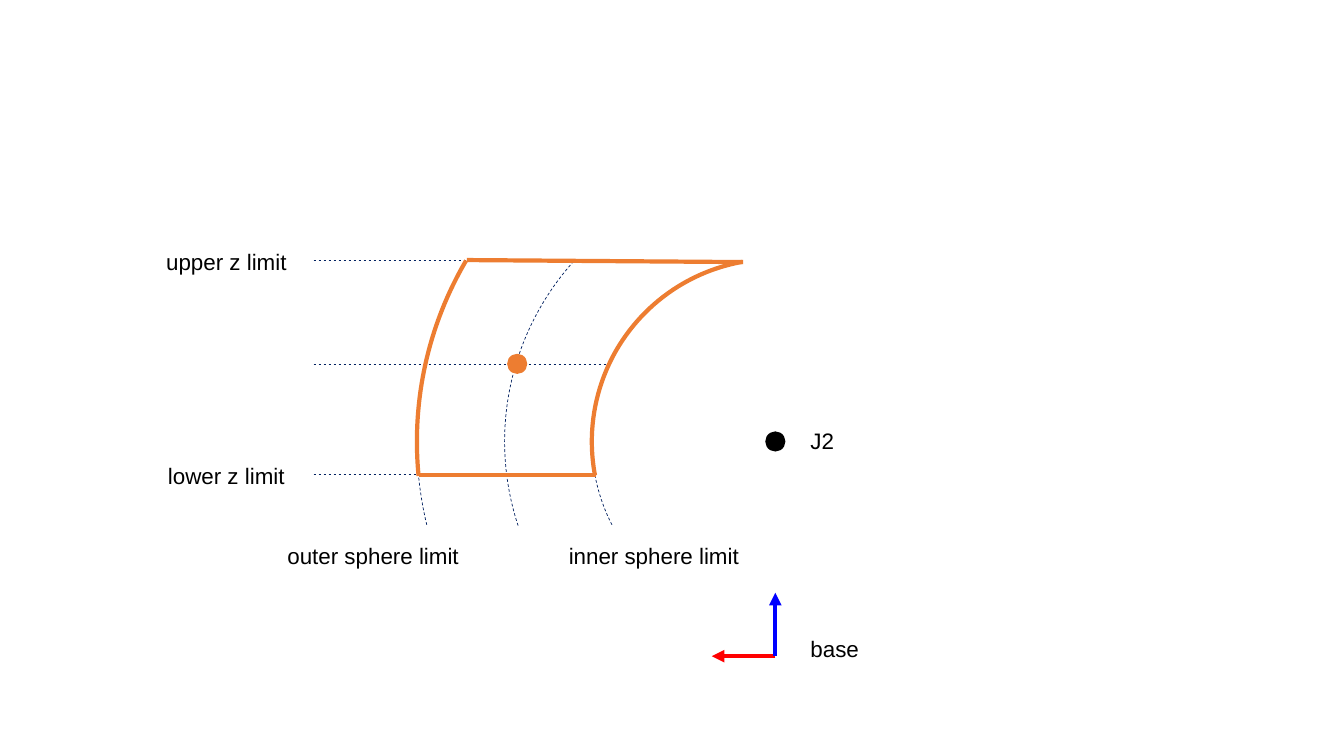
from lxml import etree
from pptx import Presentation
from pptx.dml.color import RGBColor
from pptx.enum.dml import MSO_LINE
from pptx.enum.shapes import MSO_CONNECTOR, MSO_SHAPE
from pptx.enum.text import MSO_ANCHOR, MSO_AUTO_SIZE, PP_ALIGN
from pptx.oxml.ns import qn
from pptx.util import Inches, Pt

ARC, OVAL = MSO_SHAPE.ARC, MSO_SHAPE.OVAL
STRAIGHT = MSO_CONNECTOR.STRAIGHT
DASH = MSO_LINE.DASH
MIDDLE = MSO_ANCHOR.MIDDLE
GROW = MSO_AUTO_SIZE.SHAPE_TO_FIT_TEXT
LEFT, CENTER = PP_ALIGN.LEFT, PP_ALIGN.CENTER

COLORS = {
    "guide": "002060",
    "region": "ED7D31",
    "black": "000000",
    "x_axis": "FF0000",
    "z_axis": "0000FF",
}
FONT = "Arial"
GUIDE_WIDTH, BOLD_WIDTH = 0.5, 3

JOINT = (7.68, 4.38)
INNER, MIDDLE_SPHERE, OUTER = 3.62, 5.35, 7.09  # sphere diameters
UPPER_Z, MIDDLE_Z, LOWER_Z = 2.58, 3.61, 4.71
GUIDE_LEFT = 3.11
BASE = (7.69, 6.51)
AXIS_LENGTH = 0.63
DOT_SIZE = 0.2
LABEL_HEIGHT = 0.37


def color(name):
    return RGBColor.from_string(COLORS[name])


def style_line(line, color_name):
    line.color.rgb = color(color_name)
    if color_name == "guide":
        line.width = Pt(GUIDE_WIDTH)
        line.dash_style = DASH
    else:
        line.width = Pt(BOLD_WIDTH)


def add_round_shape(slide, kind, center, diameter):
    x, y = center
    shape = slide.shapes.add_shape(
        kind, Inches(x - diameter / 2), Inches(y - diameter / 2),
        Inches(diameter), Inches(diameter))
    shape.shadow.inherit = False
    return shape


def add_arc(slide, diameter, start, end, color_name):
    """Draw part of a sphere around the joint, with angles in degrees."""
    arc = add_round_shape(slide, ARC, JOINT, diameter)
    arc.fill.background()
    for index, angle in enumerate((start, end)):
        arc.adjustments[index] = angle * 0.6  # 60000 units per degree, over 100000
    style_line(arc.line, color_name)


def add_dot(slide, center, color_name):
    dot = add_round_shape(slide, OVAL, center, DOT_SIZE)
    dot.fill.solid()
    dot.fill.fore_color.rgb = color(color_name)
    dot.line.fill.background()


def add_line(slide, start, end, color_name):
    line = slide.shapes.add_connector(
        STRAIGHT, *(Inches(value) for value in (*start, *end)))
    style_line(line.line, color_name)
    etree.SubElement(line._element.spPr, qn("a:effectLst"))
    return line


def add_axis(slide, end, color_name):
    axis = add_line(slide, BASE, end, color_name)
    etree.SubElement(axis.line._get_or_add_ln(), qn("a:tailEnd"), type="triangle")


def add_label(slide, text, left, top, width, alignment):
    box = slide.shapes.add_textbox(
        Inches(left), Inches(top), Inches(width), Inches(LABEL_HEIGHT))
    frame = box.text_frame
    frame.word_wrap = False
    frame.auto_size = GROW
    frame.vertical_anchor = MIDDLE
    paragraph = frame.paragraphs[0]
    paragraph.alignment = alignment
    run = paragraph.add_run()
    run.text = text
    run.font.name = FONT
    run.font.size = Pt(16)
    run.font.color.rgb = color("black")


def main():
    presentation = Presentation()
    presentation.slide_width = Inches(13.33)
    presentation.slide_height = Inches(7.5)
    slide = presentation.slides.add_slide(presentation.slide_layouts[6])

    add_arc(slide, INNER, 152.84, 196.95, "guide")
    add_arc(slide, OUTER, 166.51, 192.04, "guide")
    add_arc(slide, MIDDLE_SPHERE, 161.83, 222.51, "guide")
    for z, right in ((MIDDLE_Z, 6.05), (LOWER_Z, 4.78), (UPPER_Z, 4.78)):
        add_line(slide, (GUIDE_LEFT, z), (right, z), "guide")
    add_dot(slide, (7.69, 4.38), "black")

    add_arc(slide, INNER, 169.31, 259.94, "region")
    add_arc(slide, OUTER, 174.46, 210.42, "region")
    add_line(slide, (4.63, UPPER_Z), (7.37, 2.6), "region")
    add_line(slide, (4.16, LOWER_Z), (5.91, LOWER_Z), "region")
    add_dot(slide, (5.13, MIDDLE_Z), "region")

    base_x, base_y = BASE
    add_axis(slide, (base_x - AXIS_LENGTH, base_y), "x_axis")
    add_axis(slide, (base_x, base_y - AXIS_LENGTH), "z_axis")

    for label in (
        ("upper z limit", 1.54, 2.41, 1.41, CENTER),
        ("lower z limit", 1.56, 4.53, 1.37, CENTER),
        ("outer sphere limit", 2.74, 5.33, 1.92, CENTER),
        ("inner sphere limit", 5.53, 5.33, 1.91, CENTER),
        ("J2", 7.94, 4.19, 0.44, LEFT),
        ("base", 7.94, 6.25, 0.69, LEFT),
    ):
        add_label(slide, *label)

    presentation.save("out.pptx")


if __name__ == "__main__":
    main()
